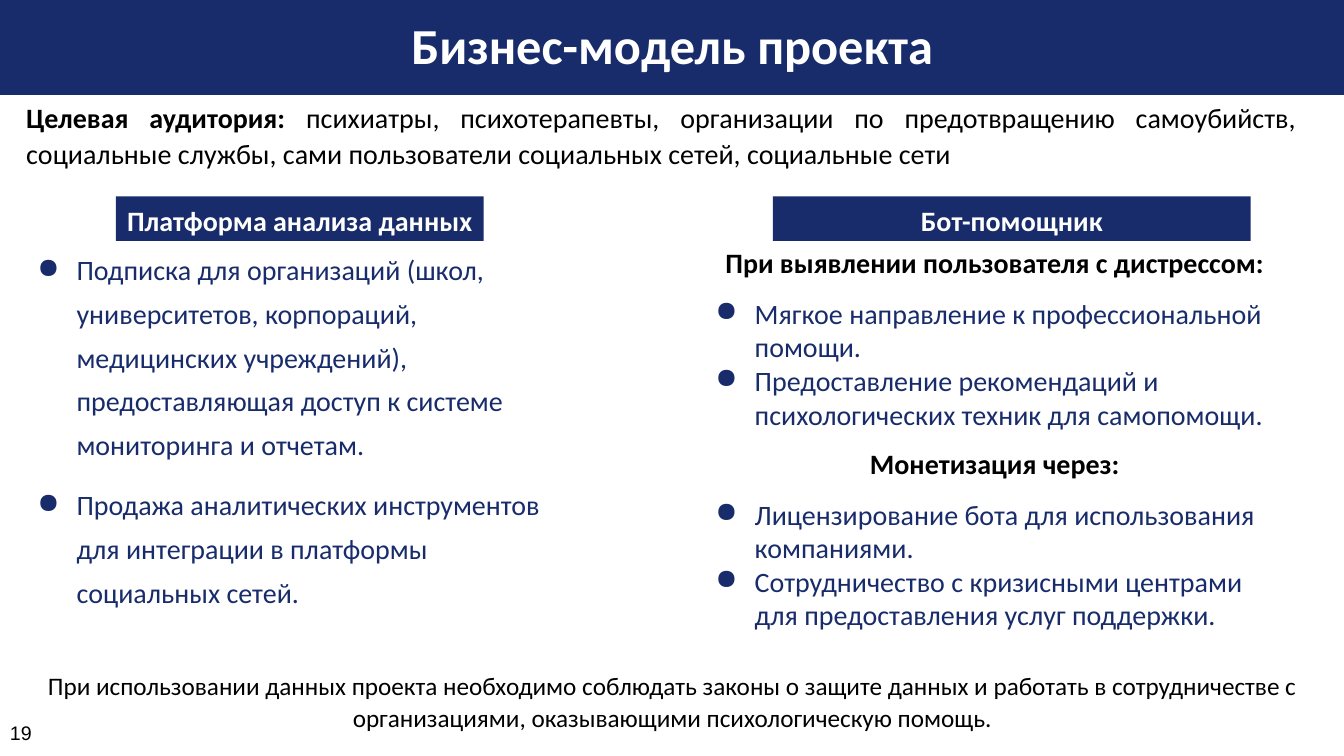
from lxml import etree
from pptx import Presentation
from pptx.dml.color import RGBColor
from pptx.enum import shapes, text
from pptx.oxml.ns import qn
from pptx.util import Cm, Pt

NAVY = RGBColor(0x18, 0x2C, 0x6B)
WHITE = RGBColor(0xFF, 0xFF, 0xFF)
BLACK = RGBColor(0, 0, 0)
LEFT, CENTER, JUSTIFY = (text.PP_ALIGN.LEFT, text.PP_ALIGN.CENTER,
                         text.PP_ALIGN.JUSTIFY)
WIDTH, HEIGHT = 33.87, 19.05
HEADING_TOP, HEADING_HEIGHT = 4.95, 1.12

PLATFORM_ITEMS = [
    "Подписка для организаций (школ, университетов, корпораций, медицинских "
    "учреждений), предоставляющая доступ к системе мониторинга и отчетам.",
    "Продажа аналитических инструментов для интеграции в платформы "
    "социальных сетей.",
]
BOT_GROUPS = [
    ("При выявлении пользователя с дистрессом:", [
        "Мягкое направление к профессиональной помощи.",
        "Предоставление рекомендаций и психологических техник для самопомощи.",
    ]),
    ("Монетизация через:", [
        "Лицензирование бота для использования компаниями.",
        "Сотрудничество с кризисными центрами для предоставления услуг поддержки.",
    ]),
]


def add_rect(slide, left, top, width, height):
    sp = slide.shapes.add_shape(shapes.MSO_SHAPE.RECTANGLE, Cm(left), Cm(top),
                                Cm(width), Cm(height))
    sp.shadow.inherit = False
    sp.fill.solid()
    sp.fill.fore_color.rgb = NAVY
    sp.line.fill.background()
    return sp.text_frame


def add_text_box(slide, left, top, width, height):
    tf = slide.shapes.add_textbox(Cm(left), Cm(top), Cm(width),
                                  Cm(height)).text_frame
    tf.word_wrap = True
    return tf


def add_bullet(p):
    pPr = p._p.get_or_add_pPr()
    pPr.set("marL", str(Cm(1.27)))
    pPr.set("indent", str(Cm(-0.99)))
    color = etree.SubElement(pPr, qn("a:buClr"))
    etree.SubElement(color, qn("a:srgbClr"), val=str(NAVY))
    etree.SubElement(pPr, qn("a:buChar"), char="●")


def write(tf, content, lead="", size=20, color=BLACK, bold=False, font="Calibri",
          align=LEFT, spacing=None, before=0, bullet=False):
    """Add a paragraph; lead is bold text ahead of the content."""
    first = not tf.paragraphs[0].runs
    p = tf.paragraphs[0] if first else tf.add_paragraph()
    if bullet:
        add_bullet(p)
    p.alignment = align
    if spacing:
        p.line_spacing = spacing
    if not first:
        p.space_before = Pt(before)
    for part, is_bold in ((lead, True), (content, bold)):
        if part:
            r = p.add_run()
            r.text = part
            r.font.name = font
            r.font.size = Pt(size)
            r.font.bold = is_bold
            r.font.color.rgb = color


def add_banner(slide, left, top, width, height):
    add_rect(slide, left, top, width, height)
    tf = add_text_box(slide, left + 2.24, top + 0.23, 29.41, 1.8)
    write(tf, "Бизнес-модель проекта", size=36, color=WHITE, bold=True,
          align=CENTER)


def add_audience(slide, left, top, width, height):
    tf = add_text_box(slide, left, top, width, height)
    write(tf, " психиатры, психотерапевты, организации по предотвращению "
          "самоубийств, социальные службы, сами пользователи социальных сетей, "
          "социальные сети", lead="Целевая аудитория:", align=JUSTIFY,
          spacing=1.07)


def add_heading(slide, title, left, width):
    tf = add_rect(slide, left, HEADING_TOP, width, HEADING_HEIGHT)
    tf.word_wrap = True
    tf.vertical_anchor = text.MSO_ANCHOR.TOP
    write(tf, title, color=WHITE, bold=True, align=CENTER, spacing=1.07)


def add_platform_column(slide, left, top, width, height):
    add_heading(slide, "Платформа анализа данных", left + 2.51, 9.27)
    tf = add_text_box(slide, left, top, width, height)
    for item in PLATFORM_ITEMS:
        write(tf, item, color=NAVY, spacing=1.3, before=12, bullet=True)


def add_bot_column(slide, left, top, width, height):
    add_heading(slide, "Бот-помощник", left + 1.98, 12.04)
    gap = 0.11
    group_height = (height - gap) / 2
    for i, (title, items) in enumerate(BOT_GROUPS):
        tf = add_text_box(slide, left, top + i * (group_height + gap), width,
                          group_height)
        write(tf, title, bold=True, align=CENTER)
        for j, item in enumerate(items):
            write(tf, item, color=NAVY, before=0 if j else 12, bullet=True)


def add_footer(slide, left, top, width, height):
    tf = add_text_box(slide, left + 0.69, top, width, height)
    write(tf, "При использовании данных проекта необходимо соблюдать законы о "
          "защите данных и работать в сотрудничестве с организациями, "
          "оказывающими психологическую помощь.", size=18, align=CENTER,
          spacing=1.07)
    number = add_text_box(slide, left, top + 1.32, 1.93, 0.86)
    write(number, "19", size=14, font="Arial")


def main():
    prs = Presentation()
    prs.slide_width, prs.slide_height = Cm(WIDTH), Cm(HEIGHT)
    slide = prs.slides.add_slide(prs.slide_layouts[6])
    add_banner(slide, 0, 0, WIDTH, 2.39)
    add_audience(slide, 0.41, 2.36, 32.51, 2.03)
    add_platform_column(slide, 0.41, 5.99, 14.3, 9.32)
    add_bot_column(slide, 17.5, 6.07, 15.14, 10.01)
    add_footer(slide, 0, 16.71, 32.51, 1.85)
    prs.save("out.pptx")


if __name__ == "__main__":
    main()
